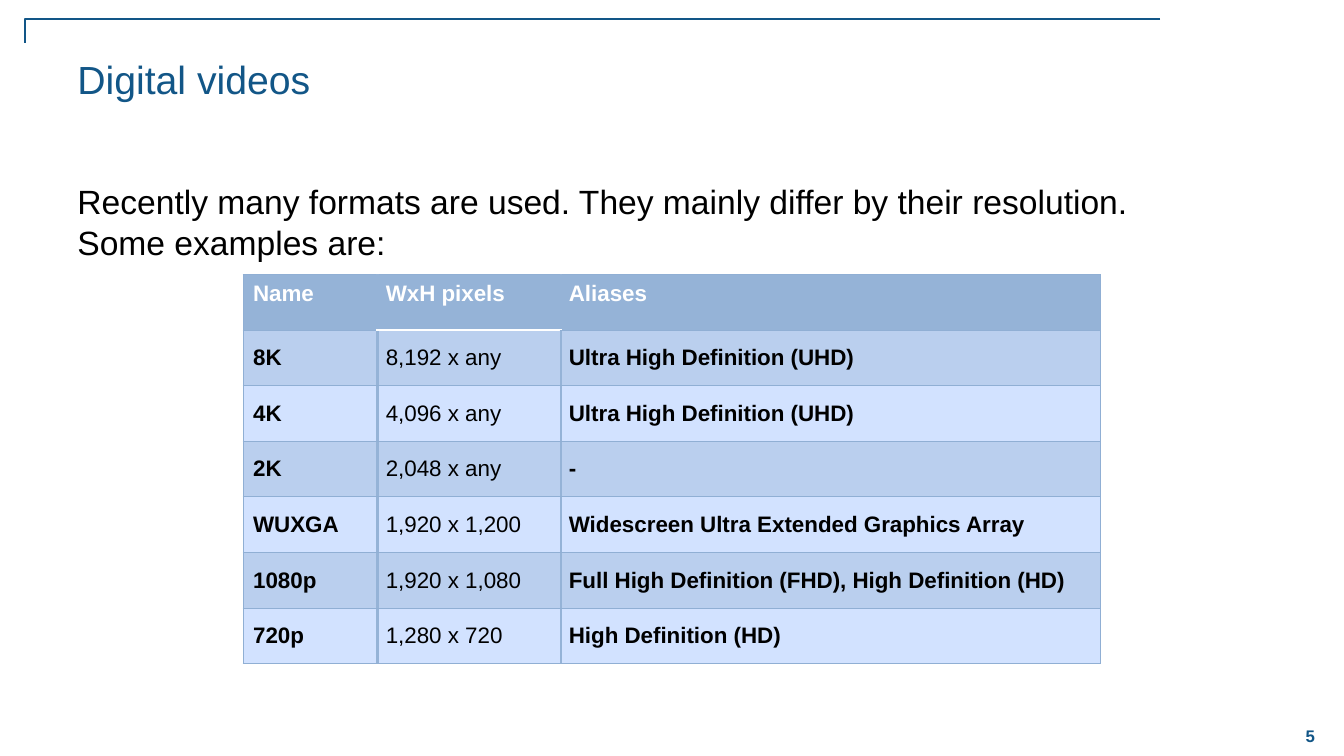
"""Build the "Digital videos" slide with its table of video formats."""
from lxml.etree import SubElement
from pptx import Presentation
from pptx.dml.color import RGBColor
from pptx.enum.text import MSO_ANCHOR as Anchor, PP_ALIGN as Align
from pptx.oxml.ns import qn
from pptx.util import Pt

BLUE = RGBColor(0x12, 0x56, 0x87)
BLACK = RGBColor(0x00, 0x00, 0x00)
WHITE = RGBColor(0xFF, 0xFF, 0xFF)
HEADER_FILL = RGBColor(0x95, 0xB3, 0xD7)
DARK_FILL = RGBColor(0xBA, 0xCF, 0xEE)
LIGHT_FILL = RGBColor(0xD2, 0xE2, 0xFF)
GRID = RGBColor(0x90, 0xAF, 0xD4)

FORMATS = [
    ("Name", "WxH pixels", "Aliases"),
    ("8K", "8,192 x any", "Ultra High Definition (UHD)"),
    ("4K", "4,096 x any", "Ultra High Definition (UHD)"),
    ("2K", "2,048 x any", "-"),
    ("WUXGA", "1,920 x 1,200", "Widescreen Ultra Extended Graphics Array"),
    ("1080p", "1,920 x 1,080", "Full High Definition (FHD), High Definition (HD)"),
    ("720p", "1,280 x 720", "High Definition (HD)"),
]
COLUMN_WIDTHS = [96.2, 130.8, 385.4]
ROW_HEIGHT = 39.7


def style_text(frame, text, size, color, bold=False):
    frame.text = text
    para = frame.paragraphs[0]
    para.font.name = "Arial"
    para.font.size = Pt(size)
    para.font.bold = bold
    para.font.color.rgb = color
    return para


def set_border(cell, side, color, width):
    line = SubElement(cell._tc.get_or_add_tcPr(), qn(f"a:ln{side}"), w=str(Pt(width)))
    fill = SubElement(line, qn("a:solidFill"))
    SubElement(fill, qn("a:srgbClr"), val=str(color))


deck = Presentation()
deck.slide_width, deck.slide_height = Pt(960), Pt(540)
page = deck.slides.add_slide(deck.slide_layouts[6])

outline = page.shapes.build_freeform(Pt(828.7), Pt(13.7))
outline.add_line_segments([(Pt(18), Pt(13.7)), (Pt(18), Pt(30.5))], close=False)
corner = outline.convert_to_shape()
corner.shadow.inherit = False
corner.fill.background()
corner.line.color.rgb = BLUE
corner.line.width = Pt(1)

TEXTS = [
    ("Digital videos", (48.2, 36, 848, 78), 28, BLUE),
    ("Recently many formats are used. They mainly differ by their resolution.\v"
     "Some examples are:", (48.2, 126, 862.6, 366), 24, BLACK),
]
for text, bounds, size, color in TEXTS:
    box = page.shapes.add_textbox(*map(Pt, bounds))
    box.text_frame.word_wrap = True
    style_text(box.text_frame, text, size, color)

number = page.shapes.add_textbox(Pt(912), Pt(510.5), Pt(48), Pt(30))
number.text_frame.word_wrap = True
number.text_frame.vertical_anchor = Anchor.MIDDLE
style_text(number.text_frame, "5", 12, BLUE, True).alignment = Align.CENTER

table = page.shapes.add_table(
    len(FORMATS), len(COLUMN_WIDTHS), Pt(173.6), Pt(196.2),
    Pt(sum(COLUMN_WIDTHS)), Pt(ROW_HEIGHT * len(FORMATS))).table
table.first_row = table.horz_banding = False
for column, width in zip(table.columns, COLUMN_WIDTHS):
    column.width = Pt(width)

last_column = len(COLUMN_WIDTHS) - 1
for i, values in enumerate(FORMATS):
    table.rows[i].height = Pt(ROW_HEIGHT)
    header = i == 0
    for j, value in enumerate(values):
        cell = table.cell(i, j)
        style_text(cell.text_frame, value, 16, WHITE if header else BLACK,
                   header or j != 1)
        cell.vertical_anchor = Anchor.TOP if header else Anchor.MIDDLE
        cell.margin_left = Pt(7.2 if j == 0 else 5.8)
        cell.margin_right = Pt(5.8)
        cell.margin_top = cell.margin_bottom = Pt(5)
        for side, edge in (("L", j), ("R", j + 1)):
            outer = edge in (0, last_column + 1)
            set_border(cell, side, *((GRID, 0.75) if outer else (HEADER_FILL, 2)))
        for side, edge in (("T", i), ("B", i + 1)):
            under_header = edge == 1 and j == 1
            set_border(cell, side, *((WHITE, 2) if under_header else (GRID, 0.75)))
        cell.fill.solid()
        cell.fill.fore_color.rgb = (
            HEADER_FILL if header else DARK_FILL if i % 2 else LIGHT_FILL)

deck.save("out.pptx")
